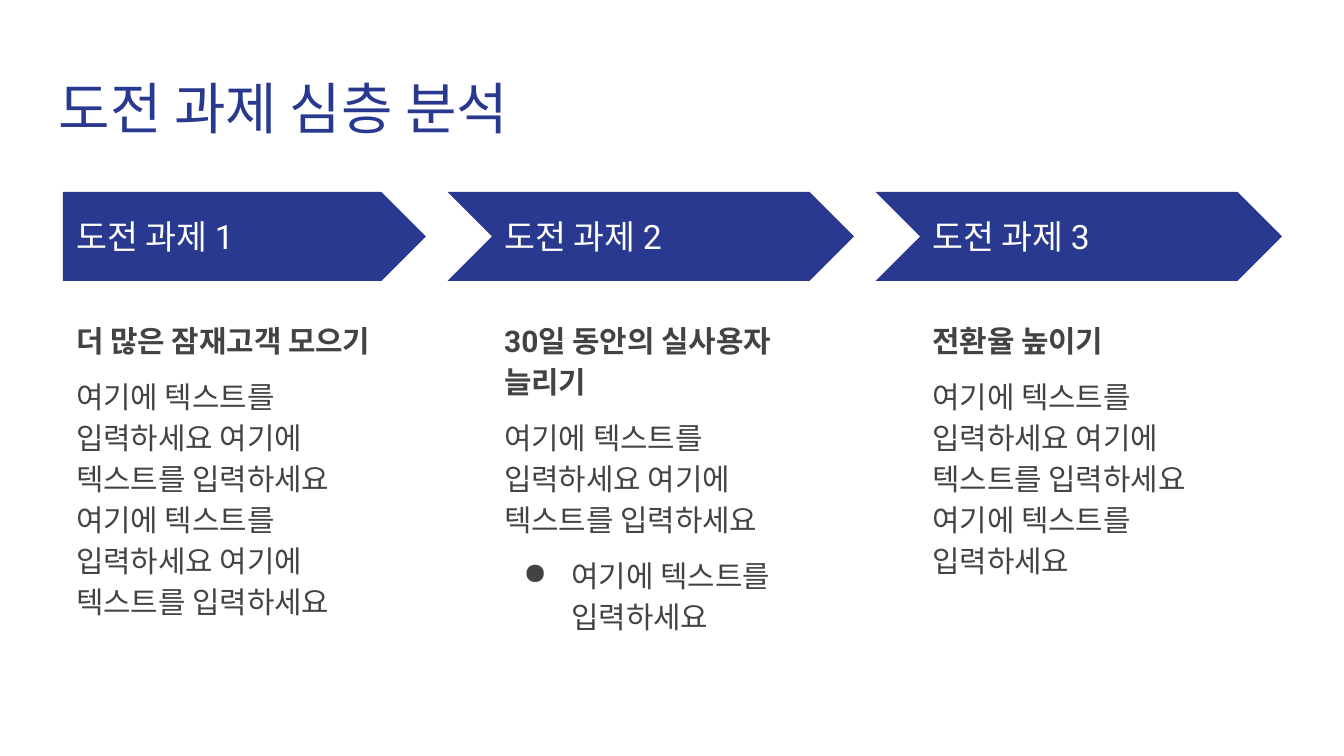
from dataclasses import dataclass

from lxml import etree
from pptx import Presentation
from pptx import util as u
from pptx.dml.color import RGBColor
from pptx.enum import shapes, text
from pptx.oxml import ns


@dataclass(frozen=True)
class Theme:
    font: str = "Roboto"
    primary: str = "2A3990"
    body: str = "434343"
    inverse: str = "FFFFFF"
    title_size: int = 30
    label_size: int = 18
    body_size: int = 16
    paragraph_gap: int = 8
    line_spacing: float = 1.15


class SlideBuilder:
    def __init__(self, slide, theme):
        self.slide = slide
        self.theme = theme

    def frame(self, shape, anchor=text.MSO_ANCHOR.TOP):
        frame = shape.text_frame
        frame.word_wrap = True
        frame.auto_size = text.MSO_AUTO_SIZE.NONE
        frame.vertical_anchor = anchor
        frame.margin_left = frame.margin_right = u.Cm(0.25)
        frame.margin_top = frame.margin_bottom = u.Cm(0.25)
        return frame

    def fill_paragraph(self, paragraph, content, size, color, bold=False):
        paragraph.text = content
        paragraph.alignment = text.PP_ALIGN.LEFT
        font = paragraph.font
        font.name = self.theme.font
        font.size = u.Pt(size)
        font.bold = bold
        font.color.rgb = RGBColor.from_string(color)

    def title(self, content, left, top, width, height):
        shape = self.slide.shapes.title
        shape.left, shape.top = u.Cm(left), u.Cm(top)
        shape.width, shape.height = u.Cm(width), u.Cm(height)
        paragraph = self.frame(shape).paragraphs[0]
        self.fill_paragraph(
            paragraph, content, self.theme.title_size, self.theme.primary
        )

    def arrow(self, kind, left, top, width, height):
        shape = self.slide.shapes.add_shape(
            kind, u.Cm(left), u.Cm(top), u.Cm(width), u.Cm(height)
        )
        shape.shadow.inherit = False
        shape.fill.solid()
        shape.fill.fore_color.rgb = RGBColor.from_string(self.theme.primary)
        shape.line.fill.background()

    def text_box(self, left, top, width, height, anchor=text.MSO_ANCHOR.TOP):
        shape = self.slide.shapes.add_textbox(
            u.Cm(left), u.Cm(top), u.Cm(width), u.Cm(height)
        )
        return self.frame(shape, anchor)

    def label(self, content, left, top, width, height):
        frame = self.text_box(left, top, width, height, text.MSO_ANCHOR.MIDDLE)
        self.fill_paragraph(
            frame.paragraphs[0], content, self.theme.label_size, self.theme.inverse
        )

    def bullet(self, paragraph):
        properties = paragraph._p.get_or_add_pPr()
        properties.set("marL", str(u.Cm(1.27)))
        properties.set("indent", str(u.Cm(-0.91)))
        mark = etree.Element(ns.qn("a:buChar"), char="●")
        properties.find(ns.qn("a:defRPr")).addprevious(mark)

    def description(self, heading, details, bullets, left, top, width, height):
        frame = self.text_box(left, top, width, height)
        contents = [heading, *details, *bullets]
        for index, content in enumerate(contents):
            paragraph = frame.add_paragraph() if index else frame.paragraphs[0]
            self.fill_paragraph(
                paragraph, content, self.theme.body_size, self.theme.body, index == 0
            )
            paragraph.line_spacing = self.theme.line_spacing
            if index:
                paragraph.space_before = u.Pt(self.theme.paragraph_gap)
            if index > len(details):
                self.bullet(paragraph)
        paragraph.space_after = u.Pt(self.theme.paragraph_gap)


def main():
    presentation = Presentation()
    presentation.slide_width = u.Cm(25.4)
    presentation.slide_height = u.Cm(14.29)
    slide = presentation.slides.add_slide(presentation.slide_layouts[5])
    builder = SlideBuilder(slide, Theme())
    builder.title("도전 과제 심층 분석", 0.86, 1.14, 23.67, 1.68)

    prompt = "여기에 텍스트를 입력하세요"
    challenges = [
        ("더 많은 잠재고객 모으기", 4, []),
        ("30일 동안의 실사용자 늘리기", 2, [prompt]),
        ("전환율 높이기", 3, []),
    ]
    first_left, pitch, column_width, notch = 1.19, 8.09, 6.86, 0.82
    for index, (heading, repeats, bullets) in enumerate(challenges):
        left = first_left + index * pitch
        overhang = notch if index else 0
        kind = shapes.MSO_SHAPE.CHEVRON if index else shapes.MSO_SHAPE.PENTAGON
        builder.arrow(kind, left - overhang, 3.63, column_width + overhang, 1.68)
        builder.label(f"도전 과제 {index + 1}", left, 4.04, 6.27, 0.86)
        details = [" ".join([prompt] * repeats)]
        builder.description(
            heading, details, bullets, left, 5.74, column_width, 7.37
        )

    presentation.save("out.pptx")


if __name__ == "__main__":
    main()
